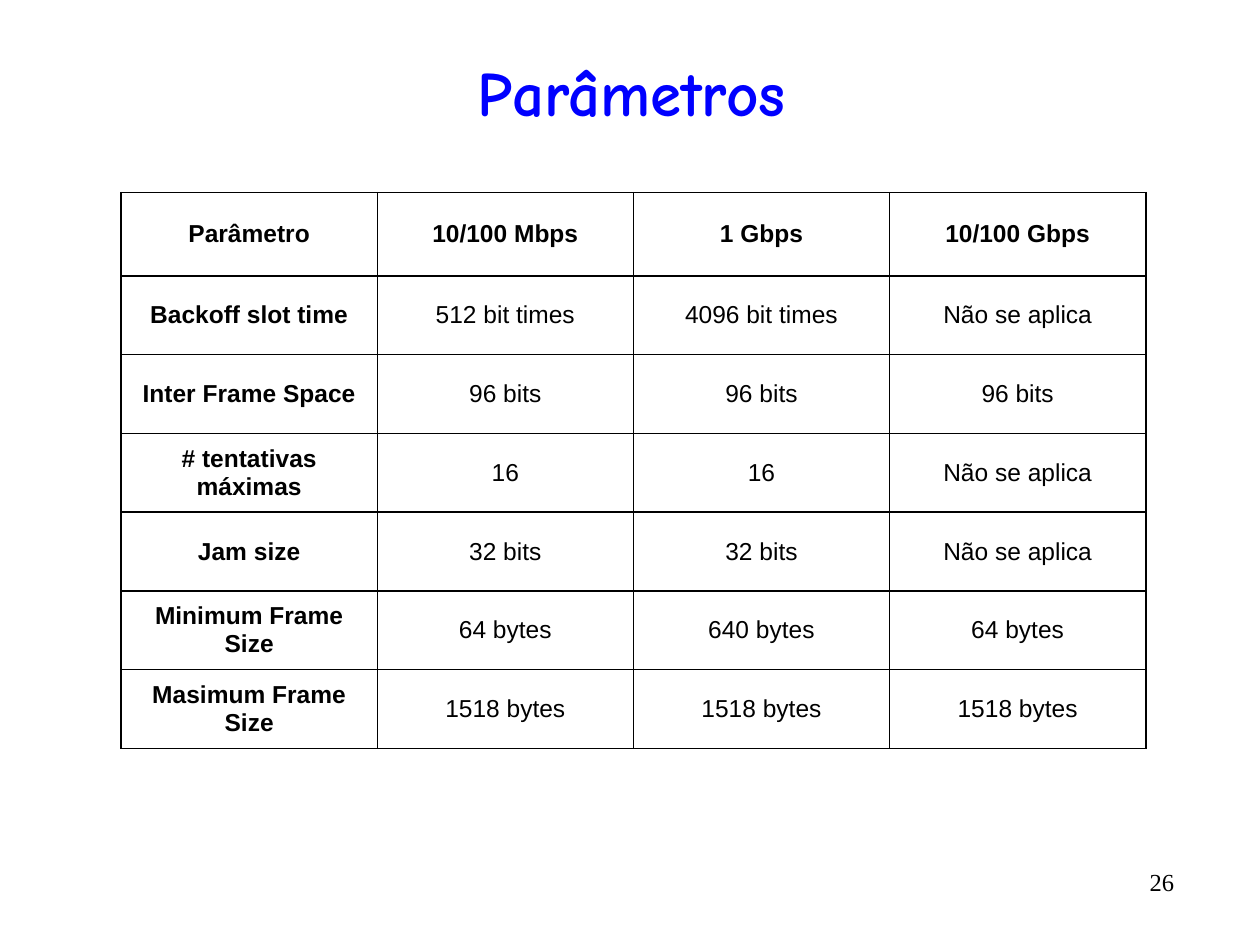
from lxml.etree import SubElement
from pptx import Presentation
from pptx.dml.color import RGBColor
from pptx.enum.text import MSO_ANCHOR as Anchor, PP_ALIGN as Align
from pptx.oxml.ns import qn
from pptx.util import Pt

BLUE = RGBColor(0x00, 0x00, 0xFF)
BLACK = RGBColor(0x00, 0x00, 0x00)

PARAMETERS = [
    ("Parâmetro", "10/100 Mbps", "1 Gbps", "10/100 Gbps"),
    ("Backoff slot time", "512 bit times", "4096 bit times", "Não se aplica"),
    ("Inter Frame Space", "96 bits", "96 bits", "96 bits"),
    ("# tentativas máximas", "16", "16", "Não se aplica"),
    ("Jam size", "32 bits", "32 bits", "Não se aplica"),
    ("Minimum Frame Size", "64 bytes", "640 bytes", "64 bytes"),
    ("Masimum Frame Size", "1518 bytes", "1518 bytes", "1518 bytes"),
]
COLUMN_WIDTH = Pt(146.4)
HEADER_HEIGHT, ROW_HEIGHT = Pt(47.7), Pt(45)


def write(frame, text, font_name, size, color, align, bold=False):
    """Fill a text frame with one formatted line of text."""
    frame.text = text
    paragraph = frame.paragraphs[0]
    paragraph.alignment = align
    font = paragraph.runs[0].font
    font.name, font.size, font.bold = font_name, Pt(size), bold
    font.color.rgb = color


def add_title(slide, text):
    title = slide.shapes.title
    title.left, title.top = Pt(18), Pt(19.5)
    title.width, title.height = Pt(686), Pt(65.5)
    title.text_frame.vertical_anchor = Anchor.MIDDLE
    write(title.text_frame, text, "Comic Neue", 36, BLUE, Align.CENTER, True)


def add_page_number(slide, number):
    box = slide.shapes.add_textbox(Pt(606), Pt(492), Pt(72), Pt(30))
    box.text_frame.word_wrap = True
    write(box.text_frame, number, "Times New Roman", 14, BLACK, Align.RIGHT)


def outline_cell(cell):
    """Draw a thin black line on all four sides of a cell."""
    properties = cell._tc.get_or_add_tcPr()
    for position, side in enumerate(("lnL", "lnR", "lnT", "lnB")):
        line = SubElement(properties, qn(f"a:{side}"), w=str(Pt(1)))
        fill = SubElement(line, qn("a:solidFill"))
        SubElement(fill, qn("a:srgbClr"), val=str(BLACK))
        properties.insert(position, line)


def add_parameter_table(slide, rows):
    column_count = len(rows[0])
    height = HEADER_HEIGHT + ROW_HEIGHT * (len(rows) - 1)
    table = slide.shapes.add_table(
        len(rows), column_count, Pt(69.2), Pt(110),
        COLUMN_WIDTH * column_count, height).table
    table.first_row = table.horz_banding = False
    for column in table.columns:
        column.width = COLUMN_WIDTH
    for r, values in enumerate(rows):
        table.rows[r].height = ROW_HEIGHT if r else HEADER_HEIGHT
        for c, value in enumerate(values):
            cell = table.cell(r, c)
            cell.vertical_anchor = Anchor.MIDDLE
            cell.fill.background()
            outline_cell(cell)
            is_heading = r == 0 or c == 0
            write(cell.text_frame, value, "Arial", 14, BLACK, Align.CENTER, is_heading)


def main():
    deck = Presentation()
    deck.slide_width, deck.slide_height = Pt(720), Pt(540)
    slide = deck.slides.add_slide(deck.slide_layouts[5])  # title only

    add_title(slide, "Parâmetros")
    add_page_number(slide, "26")
    add_parameter_table(slide, PARAMETERS)

    deck.save("out.pptx")


if __name__ == "__main__":
    main()
